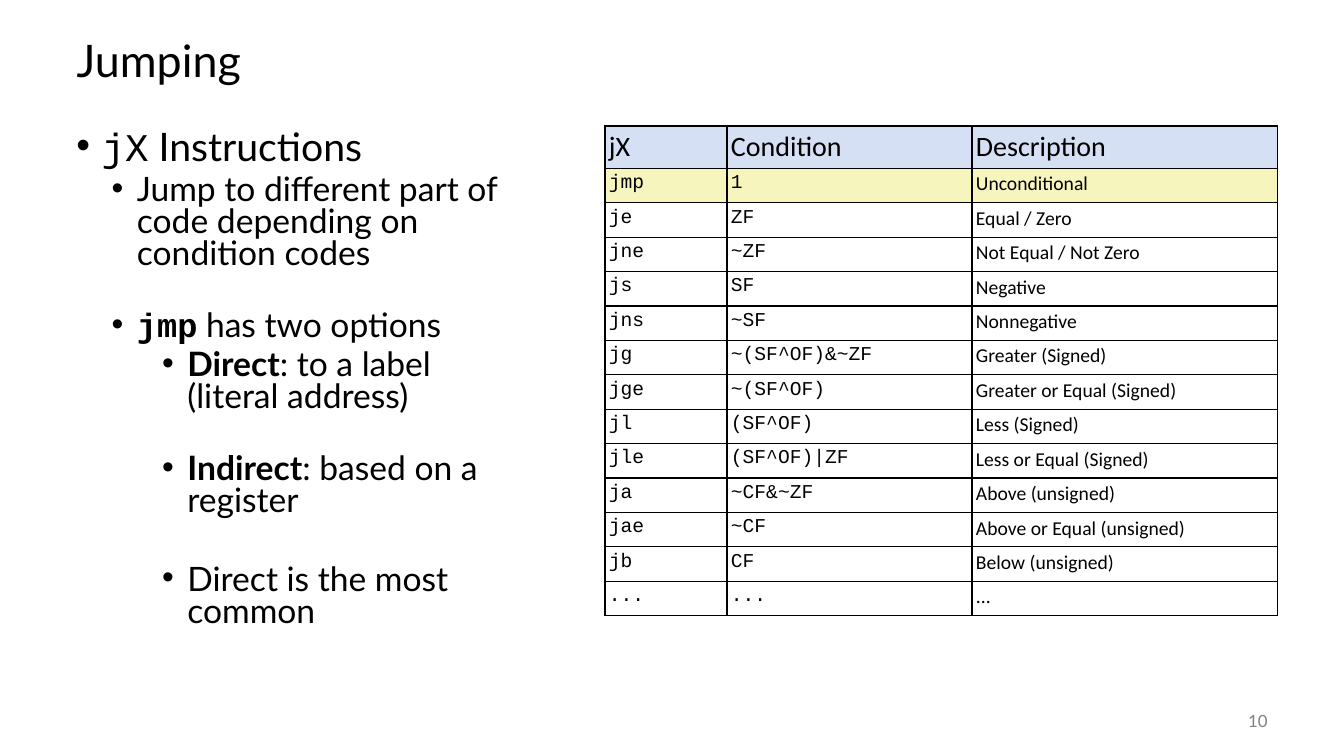
from lxml import etree
from pptx import Presentation
from pptx.dml.color import RGBColor
from pptx.enum.text import MSO_ANCHOR, PP_ALIGN
from pptx.oxml.ns import qn
from pptx.util import Inches, Pt

LEFT, RIGHT = PP_ALIGN.LEFT, PP_ALIGN.RIGHT
TOP, MIDDLE = MSO_ANCHOR.TOP, MSO_ANCHOR.MIDDLE
COLORS = {"text": "000000", "number": "808080", "header": "D6E0F5",
          "highlight": "F6F5BD", "border": "000000"}
SANS, CODE, TABLE_SANS = "Lato", "Courier New", "Calibri"
TITLE_ONLY = 5

# Level: left margin in inches, text size
LEVELS = [(0.25, 28), (0.6, 24), (1.1, 24)]
BULLET_HANG = 0.25
# Level, space before in points, runs of (text, font, bold)
BULLETS = [
    (0, 0, [("jX", CODE, False), (" Instructions", SANS, False)]),
    (1, 5, [("Jump to different part of code depending on condition codes", SANS, False)]),
    (1, 28, [("jmp", CODE, True), (" has two options", SANS, False)]),
    (2, 5, [("Direct", SANS, True), (": to a label\n(literal address)", SANS, False)]),
    (2, 28, [("Indirect", SANS, True), (": based on a register", SANS, False)]),
    (2, 33, [("Direct is the most common", SANS, False)]),
]

COLUMN_WIDTHS = [1.21, 2.43, 3.03]
HEADER_HEIGHT = 0.42
JUMPS = [
    ("jX", "Condition", "Description"),
    ("jmp", "1", "Unconditional"),
    ("je", "ZF", "Equal / Zero"),
    ("jne", "~ZF", "Not Equal / Not Zero"),
    ("js", "SF", "Negative"),
    ("jns", "~SF", "Nonnegative"),
    ("jg", "~(SF^OF)&~ZF", "Greater (Signed)"),
    ("jge", "~(SF^OF)", "Greater or Equal (Signed)"),
    ("jl", "(SF^OF)", "Less (Signed)"),
    ("jle", "(SF^OF)|ZF", "Less or Equal (Signed)"),
    ("ja", "~CF&~ZF", "Above (unsigned)"),
    ("jae", "~CF", "Above or Equal (unsigned)"),
    ("jb", "CF", "Below (unsigned)"),
    ("...", "...", "..."),
]


def add_text(paragraph, text, font=SANS, size=24, bold=False, color="text", align=LEFT):
    """Append text to a paragraph; a newline becomes a line break."""
    paragraph.alignment = align
    for index, line in enumerate(text.split("\n")):
        if index:
            paragraph.add_line_break()
        run = paragraph.add_run()
        run.text = line
        run.font.name = font
        run.font.size = Pt(size)
        run.font.bold = bold
        run.font.color.rgb = RGBColor.from_string(COLORS[color])


def set_bullet(paragraph, margin):
    properties = paragraph._p.get_or_add_pPr()
    properties.set("marL", str(Inches(margin)))
    properties.set("indent", str(-Inches(BULLET_HANG)))
    etree.SubElement(properties, qn("a:buFont")).set("typeface", "Arial")
    etree.SubElement(properties, qn("a:buChar")).set("char", "•")


def set_borders(cell):
    properties = cell._tc.get_or_add_tcPr()
    for side in ("a:lnL", "a:lnR", "a:lnT", "a:lnB"):
        line = etree.SubElement(properties, qn(side), w=str(Pt(1)))
        fill = etree.SubElement(line, qn("a:solidFill"))
        etree.SubElement(fill, qn("a:srgbClr"), val=COLORS["border"])


def place_title(slide, left, top, width, height):
    title = slide.shapes.title
    title.left, title.top = Inches(left), Inches(top)
    title.width, title.height = Inches(width), Inches(height)
    title.text_frame.vertical_anchor = MIDDLE
    heading = title.text_frame.paragraphs[0]
    heading.line_spacing = 0.9
    add_text(heading, "Jumping", size=32)


def add_frame(slide, left, top, width, height, anchor=TOP):
    box = slide.shapes.add_textbox(Inches(left), Inches(top), Inches(width), Inches(height))
    box.text_frame.word_wrap = True
    box.text_frame.vertical_anchor = anchor
    return box.text_frame


def place_bullets(slide, left, top, width, height):
    frame = add_frame(slide, left, top, width, height)
    for index, (level, space, runs) in enumerate(BULLETS):
        paragraph = frame.add_paragraph() if index else frame.paragraphs[0]
        margin, size = LEVELS[level]
        paragraph.level = level
        paragraph.line_spacing = 0.8
        paragraph.space_before = Pt(space)
        set_bullet(paragraph, margin)
        for text, font, bold in runs:
            add_text(paragraph, text, font=font, size=size, bold=bold)


def place_jump_table(slide, left, top, width, height):
    table = slide.shapes.add_table(len(JUMPS), len(COLUMN_WIDTHS), Inches(left), Inches(top),
                                   Inches(width), Inches(height)).table
    table.first_row = table.horz_banding = False
    for column, column_width in zip(table.columns, COLUMN_WIDTHS):
        column.width = Inches(column_width)
    row_height = (height - HEADER_HEIGHT) / (len(JUMPS) - 1)
    row_fills = {0: "header", 1: "highlight"}
    for r, jump in enumerate(JUMPS):
        table.rows[r].height = Inches(row_height if r else HEADER_HEIGHT)
        for c, text in enumerate(jump):
            cell = table.cell(r, c)
            cell.margin_left = cell.margin_right = Inches(0.04)
            cell.margin_top = cell.margin_bottom = Inches(0.04)
            set_borders(cell)
            if r in row_fills:
                cell.fill.solid()
                cell.fill.fore_color.rgb = RGBColor.from_string(COLORS[row_fills[r]])
            else:
                cell.fill.background()
            font = CODE if r and c < 2 else TABLE_SANS
            add_text(cell.text_frame.paragraphs[0], text, font=font, size=14 if r else 20)


def place_slide_number(slide, left, top, width, height):
    frame = add_frame(slide, left, top, width, height, anchor=MIDDLE)
    add_text(frame.paragraphs[0], "10", size=12, color="number", align=RIGHT)


def main():
    deck = Presentation()
    deck.slide_width, deck.slide_height = Inches(13.33), Inches(7.5)
    slide = deck.slides.add_slide(deck.slide_layouts[TITLE_ONLY])
    place_title(slide, 0.66, 0.25, 12, 0.75)
    place_bullets(slide, 0.66, 1.25, 5.05, 5.5)
    place_jump_table(slide, 6, 1.25, 6.67, 4.86)
    place_slide_number(slide, 11.67, 6.95, 1, 0.4)
    deck.save("out.pptx")


if __name__ == "__main__":
    main()
